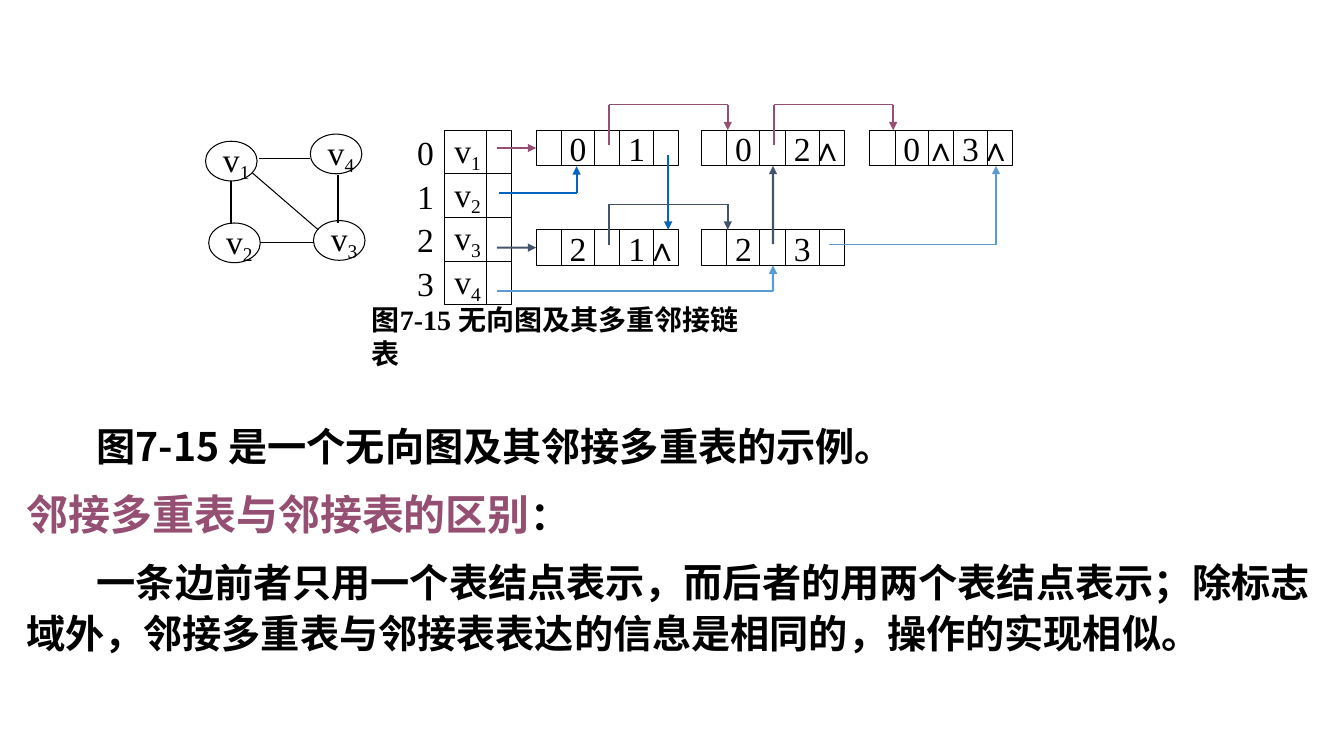
from lxml import etree
from pptx import Presentation
from pptx.dml.color import RGBColor
from pptx.enum.shapes import MSO_CONNECTOR, MSO_SHAPE
from pptx.enum.text import MSO_ANCHOR, PP_ALIGN
from pptx.oxml.ns import qn
from pptx.util import Cm, Pt

STRAIGHT = MSO_CONNECTOR.STRAIGHT
RECTANGLE, OVAL = MSO_SHAPE.RECTANGLE, MSO_SHAPE.OVAL
MIDDLE, LEFT = MSO_ANCHOR.MIDDLE, PP_ALIGN.LEFT
LEFT_SIDE, BOTTOM_SIDE = 1, 2

BLACK = RGBColor(0x00, 0x00, 0x00)
PLUM = RGBColor(0x95, 0x4F, 0x72)
SLATE = RGBColor(0x44, 0x54, 0x6A)
BLUE = RGBColor(0x05, 0x63, 0xC1)
SKY = RGBColor(0x5B, 0x9B, 0xD5)

SERIF, SANS = "Times New Roman", "Noto Sans CJK SC"
THIN, THICK = 0.75, 1.5

RECORD_WIDTH, RECORD_HEIGHT = 3.6, 0.9
RECORD_DIVIDERS = (0.64, 1.47, 2.11, 2.97)
RECORD_TABS = (1.06, 1.79, 2.54, 3.15)
COLUMNS = (2.31, 6.48, 10.72)
ROWS = (0, 2.51)
# column, row, text of the four fields after the mark field
RECORDS = [
    (0, 0, "\t0\t\t1"),
    (1, 0, "\t0\t\t2\t∧"),
    (2, 0, "\t0\t∧\t3\t∧"),
    (0, 1, "\t2\t\t1\t∧"),
    (1, 1, "\t2\t\t3"),
]


def add_span(para, text, font_name, size, colour=BLACK, bold=False, baseline=None):
    span = para.add_run()
    span.text = text
    font = span.font
    font.name, font.size, font.bold = font_name, Pt(size), bold
    font.color.rgb = colour
    properties = span._r.get_or_add_rPr()
    etree.SubElement(properties, qn("a:ea")).set("typeface", SANS)
    if baseline:
        properties.set("baseline", str(baseline))


def add_label(page, left, top, width, height):
    """Add an unwrapped text box and return its paragraph."""
    box = page.shapes.add_textbox(Cm(left), Cm(top), Cm(width), Cm(height))
    box.text_frame.word_wrap = False
    box.text_frame.vertical_anchor = MIDDLE
    return box.text_frame.paragraphs[0]


def add_outline(page, kind, left, top, width, height):
    shape = page.shapes.add_shape(kind, Cm(left), Cm(top), Cm(width), Cm(height))
    shape.shadow.inherit = False
    shape.fill.background()
    shape.line.color.rgb = BLACK
    shape.line.width = Pt(THIN)
    shape.text_frame.word_wrap = False
    shape.text_frame.vertical_anchor = MIDDLE
    shape.text_frame.paragraphs[0].alignment = LEFT
    return shape


def add_vertex(page, kind, number, left, top, width, height):
    para = add_outline(page, kind, left, top, width, height).text_frame.paragraphs[0]
    add_span(para, "v", SERIF, 24)
    add_span(para, str(number), SERIF, 24, baseline=-20000)


def add_line(page, start, end, colour=BLACK, width=THIN, arrow=False):
    line = page.shapes.add_connector(STRAIGHT, *map(Cm, (*start, *end)))
    line.line.color.rgb = colour
    line.line.width = Pt(width)
    if arrow:
        tail = etree.SubElement(line.line._get_or_add_ln(), qn("a:tailEnd"))
        tail.set("type", "triangle")
    etree.SubElement(line._element.spPr, qn("a:effectLst"))
    return line


def draw_graph(page, left, top):
    vertices = [(0, 0.18), (0.08, 2.24), (2.72, 2.18), (2.64, 0)]
    for number, (x, y) in enumerate(vertices, 1):
        add_vertex(page, OVAL, number, left + x, top + y, 1.3, 1)
    edges = [
        (0.64, 1.19, 0.64, 2.26, THICK),
        (3.33, 1.04, 3.33, 2.24, THICK),
        (1.17, 0.97, 2.84, 2.41, THIN),
        (1.35, 0.61, 2.64, 0.61, THIN),
        (1.37, 2.74, 2.74, 2.74, THIN),
    ]
    for x1, y1, x2, y2, width in edges:
        add_line(page, (left + x1, top + y1), (left + x2, top + y2), width=width)


def draw_vertex_table(page, left, top):
    row_height = 1.1
    for index in range(4):
        y = top + index * row_height
        add_vertex(page, RECTANGLE, index + 1, left, y, 1.7, row_height)
        add_line(page, (left + 1.07, y), (left + 1.07, y + row_height))
        para = add_label(page, left - 0.94, y, 0.79, row_height)
        add_span(para, str(index), SERIF, 24)


def draw_record(page, left, top, fields):
    record = add_outline(page, RECTANGLE, left, top, RECORD_WIDTH, RECORD_HEIGHT)
    frame = record.text_frame
    frame.word_wrap = True
    frame.margin_left = frame.margin_right = 0
    para = frame.paragraphs[0]
    tabs = etree.SubElement(para._p.get_or_add_pPr(), qn("a:tabLst"))
    for position in RECORD_TABS:
        tab = etree.SubElement(tabs, qn("a:tab"))
        tab.set("pos", str(Cm(position)))
        tab.set("algn", "ctr")
    add_span(para, fields, SERIF, 24)
    for offset in RECORD_DIVIDERS:
        x = left + offset
        add_line(page, (x, top), (x, top + RECORD_HEIGHT))
    return record


def draw_links(page, left, top, records):
    """Draw the pointer paths; each ends in an arrowhead at a record."""
    first, second = records[0, 0], records[1, 0]
    lower_first, lower_second = records[0, 1], records[1, 1]
    links = [
        (PLUM, THICK, [(1.32, 0.45), (2.31, 0.45)], first, LEFT_SIDE),
        (BLUE, THICK, [(1.37, 1.58), (3.33, 1.58), (3.33, 0.91)], None, None),
        (SLATE, THICK, [(1.32, 2.96), (2.31, 2.96)], lower_first, LEFT_SIDE),
        (SKY, THICK, [(1.32, 4.06), (8.28, 4.06), (8.28, 3.41)],
         lower_second, BOTTOM_SIDE),
        (BLUE, THICK, [(5.64, 0.63), (5.64, 2.51)], None, None),
        (SLATE, THICK, [(8.28, 2.87), (8.28, 0.9)], second, BOTTOM_SIDE),
        (SKY, THIN, [(9.68, 2.89), (13.9, 2.89), (13.9, 0.9)], None, None),
    ]
    for column, row, colour in [(0, 0, PLUM), (1, 0, PLUM), (0, 1, SLATE)]:
        x, y = COLUMNS[column] + 1.83, ROWS[row]
        hop = [(x, y + 0.38), (x, y - 0.64), (x + 3, y - 0.64), (x + 3, y)]
        links.append((colour, THIN, hop, None, None))

    for colour, level_width, points, target, side in links:
        points = [(left + x, top + y) for x, y in points]
        for start, end in zip(points, points[1:]):
            width = level_width if start[1] == end[1] else THICK
            line = add_line(page, start, end, colour, width, end == points[-1])
        if target:
            line.end_connect(target, side)


def draw_multilist(page, left, top):
    draw_vertex_table(page, left, top)
    records = {
        (column, row): draw_record(page, left + COLUMNS[column], top + ROWS[row], fields)
        for column, row, fields in RECORDS
    }
    draw_links(page, left, top, records)


def write_explanation(page, left, top, width, height):
    box = page.shapes.add_textbox(Cm(left), Cm(top), Cm(width), Cm(height))
    frame = box.text_frame
    frame.word_wrap = True
    paragraphs = [
        (1.78, [("图7-15 是一个无向图及其邻接多重表的示例。", 28, BLACK)]),
        (0, [("邻接多重表与邻接表的区别", 30, PLUM), ("：", 28, BLACK)]),
        (1.78, [("一条边前者只用一个表结点表示，而后者的用两个表结点表示；除标志域外，"
                 "邻接多重表与邻接表表达的信息是相同的，操作的实现相似。", 28, BLACK)]),
    ]
    for index, (indent, spans) in enumerate(paragraphs):
        para = frame.add_paragraph() if index else frame.paragraphs[0]
        para.line_spacing = 1.1
        para.space_before = Pt(10 if index else 0)
        para._p.get_or_add_pPr().set("indent", str(Cm(indent)))
        for text, size, colour in spans:
            add_span(para, text, SANS, size, colour, bold=True)


def main():
    deck = Presentation()
    deck.slide_width, deck.slide_height = Cm(33.87), Cm(19.05)
    page = deck.slides.add_slide(deck.slide_layouts[6])
    write_explanation(page, 0.41, 10.41, 33.4, 6.4)
    caption = add_label(page, 9.12, 8.03, 10.29, 0.89)
    add_span(caption, "图7-15 无向图及其多重邻接链表", SERIF, 20, bold=True)
    draw_graph(page, 5.18, 3.38)
    draw_multilist(page, 11.2, 3.28)
    deck.save("out.pptx")


if __name__ == "__main__":
    main()
